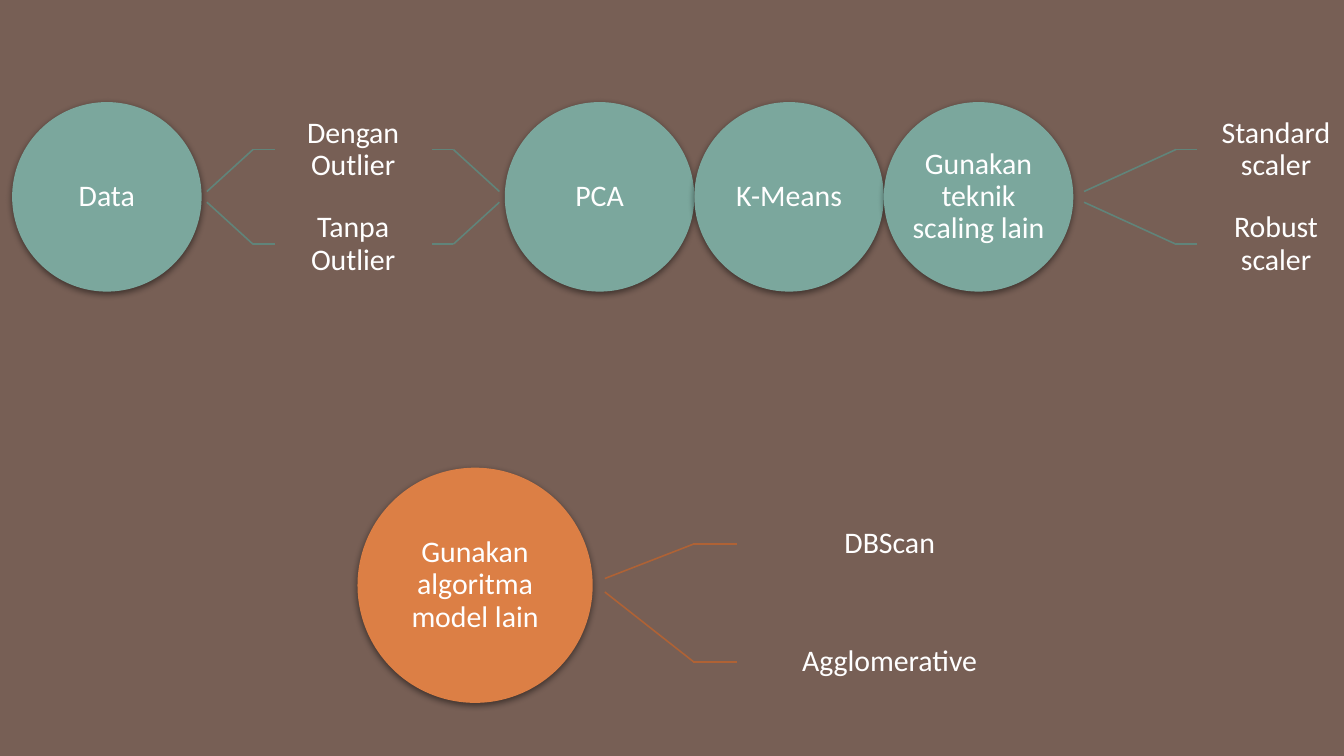
from dataclasses import dataclass
from lxml import etree
from pptx import Presentation
from pptx.dml.color import RGBColor
from pptx.enum.shapes import MSO_CONNECTOR, MSO_SHAPE
from pptx.enum.text import MSO_ANCHOR, PP_ALIGN
from pptx.oxml.ns import qn
from pptx.util import Inches, Pt

OVAL = MSO_SHAPE.OVAL
LINE = MSO_CONNECTOR.STRAIGHT
MIDDLE = MSO_ANCHOR.MIDDLE
CENTER = PP_ALIGN.CENTER


@dataclass(frozen=True)
class Theme:
    back: str = "775F55"
    text: str = "FFFFFF"
    teal: tuple = ("7BA79D", "60847A")  # fill, line
    orange: tuple = ("DC7F45", "AF6235")
    font: str = "Calibri"
    size: float = 16
    rule: float = 0.85
    pad: float = 0.12


THEME = Theme()


def paint(fill, color):
    fill.solid()
    fill.fore_color.rgb = RGBColor.from_string(color)


def apply(target, values):
    for name, value in values.items():
        setattr(target, name, value)


def write(shape, text, pad):
    frame = shape.text_frame
    edges = ("left", "top", "right", "bottom")
    apply(frame, {f"margin_{edge}": Inches(pad) for edge in edges})
    apply(frame, {"word_wrap": True, "vertical_anchor": MIDDLE})
    para = frame.paragraphs[0]
    para.text = text
    apply(para, {"alignment": CENTER, "line_spacing": 0.9})
    apply(para.font, {"name": THEME.font, "size": Pt(THEME.size)})
    para.font.color.rgb = RGBColor.from_string(THEME.text)


def shade(shape):
    """Soft black shadow, straight down."""
    shape.shadow.inherit = False
    effects = shape._element.spPr.find(qn("a:effectLst"))
    outer = etree.SubElement(effects, qn("a:outerShdw"), blurRad=str(Pt(3.5)),
                             dist=str(Pt(1.1)), dir="5400000", rotWithShape="0")
    black = etree.SubElement(outer, qn("a:srgbClr"), val="000000")
    etree.SubElement(black, qn("a:alpha"), val="45000")


def disc(shapes, left, top, size, text, tone):
    shape = shapes.add_shape(OVAL, *map(Inches, (left, top, size, size)))
    paint(shape.fill, tone[0])
    shape.line.fill.background()
    shade(shape)
    write(shape, text, 0)


def link(shapes, start, end, tone):
    line = shapes.add_connector(LINE, *map(Inches, (*start, *end)))
    paint(line.line.fill, tone[1])
    line.line.width = Pt(THEME.rule)
    etree.SubElement(line._element.spPr, qn("a:effectLst"))


def fork(shapes, box, items, arms, spread, tone):
    """Stacked labels; each arm is a tip and an elbow at one side of the box."""
    left, top, width, height = box
    hub = top + height / 2
    for (text, share), side in zip(items, (-1, 1)):
        tall = height * share
        mid = top + tall / 2
        for tip, elbow in arms:
            edge = left if elbow < left else left + width
            link(shapes, (tip, hub + side * spread), (elbow, mid), tone)
            link(shapes, (elbow, mid), (edge, mid), tone)
        label = shapes.add_textbox(*map(Inches, (left, top, width, tall)))
        write(label, text, THEME.pad)
        top += tall


def flow(slide, box):
    """Data, two variants, a chain of steps, then two scalers."""
    left, top, width, size = box
    shapes = slide.shapes.add_group_shape().shapes
    tone, wide, stub, gap = THEME.teal, 1.17, 0.16, 0.04
    chain = left + 2.6 * size
    disc(shapes, left, top, size, "Data", tone)

    # Variants, centred between the data and the chain
    tip, end = left + size + gap, chain - gap
    label = (tip + end - wide) / 2
    arms = ((tip, label - stub), (end, label + wide + stub))
    fork(shapes, (label, top, wide, size),
         (("Dengan Outlier", 0.5), ("Tanpa Outlier", 0.5)), arms, 0.04, tone)

    # Touching steps
    steps = ("PCA", "K-Means", "Gunakan teknik scaling lain")
    for i, text in enumerate(steps):
        disc(shapes, chain + i * size, top, size, text, tone)

    # Scalers, flush with the right edge of the box
    label = left + width - wide
    arms = ((chain + len(steps) * size + 0.08, label - stub),)
    fork(shapes, (label, top, wide, size),
         (("Standard scaler", 0.5), ("Robust scaler", 0.5)), arms, 0.04, tone)


def models(slide, box):
    """One large disc and its two alternatives."""
    left, top, width, size = box
    shapes = slide.shapes.add_group_shape().shapes
    tone, wide = THEME.orange, 2.28
    label = left + width - wide
    disc(shapes, left, top, size, "Gunakan algoritma model lain", tone)
    fork(shapes, (label, top, wide, size),
         (("DBScan", 0.65), ("Agglomerative", 0.35)),
         ((left + size + 0.09, label - 0.32),), 0.05, tone)


def main():
    deck = Presentation()
    wide = Inches(10)
    deck.slide_width, deck.slide_height = wide, wide * 9 // 16
    slide = deck.slides.add_slide(deck.slide_layouts[6])
    paint(slide.background.fill, THEME.back)
    flow(slide, (0.09, 0.76, 9.99, 1.41))
    models(slide, (2.66, 3.48, 5.1, 1.75))
    deck.save("out.pptx")


if __name__ == "__main__":
    main()
